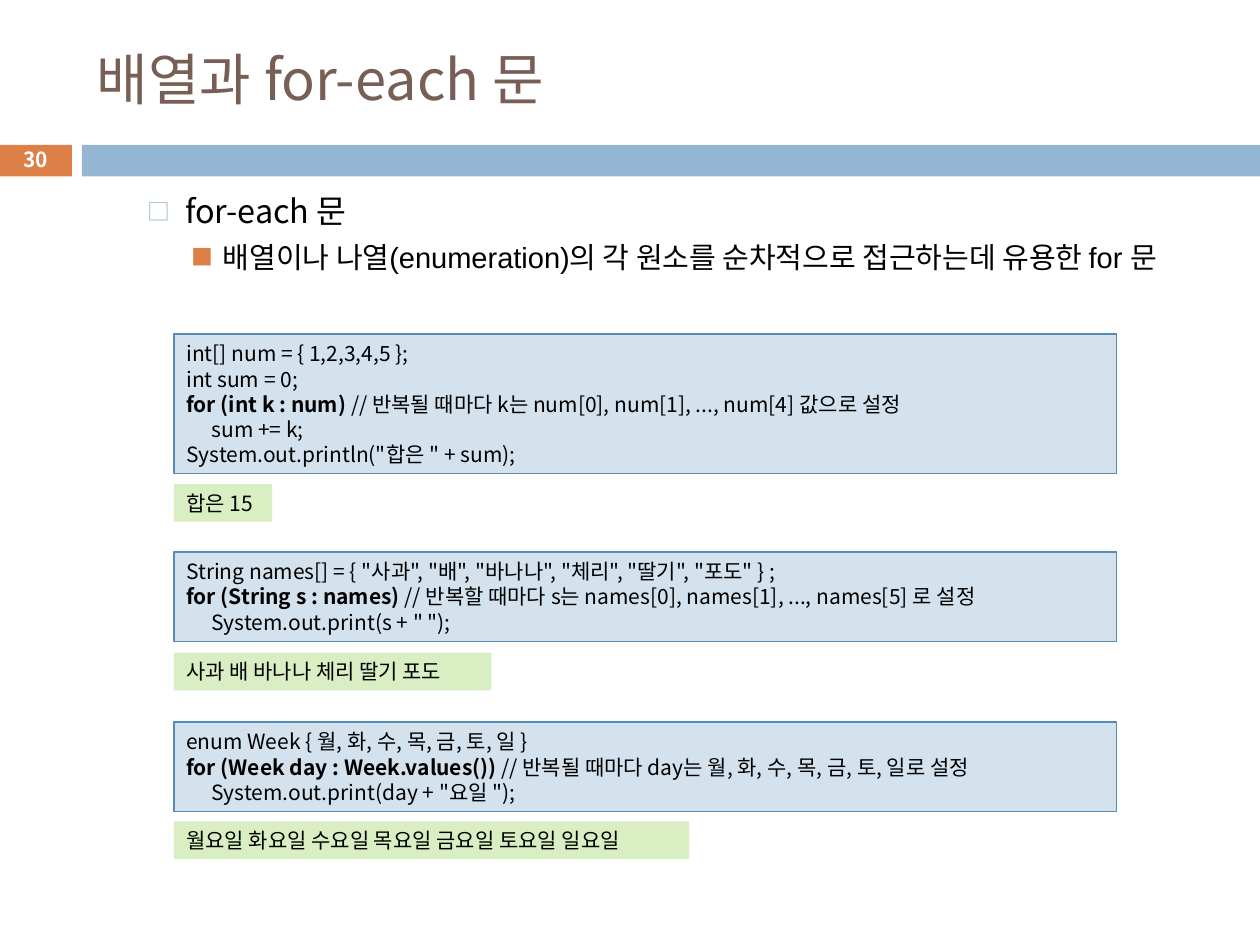
"""Builds the slide on arrays and the for-each statement."""
from lxml.etree import SubElement
from pptx import Presentation
from pptx.dml.color import RGBColor
from pptx.enum.shapes import MSO_SHAPE as SHAPE
from pptx.enum.text import MSO_ANCHOR as ANCHOR, MSO_AUTO_SIZE as AUTO, PP_ALIGN as ALIGN
from pptx.oxml.ns import qn
from pptx.util import Inches, Pt

COLORS = {
    "title": "775F55", "accent": "DD8047", "bar": "94B6D2", "text": "000000",
    "code": "D4E2ED", "code_line": "558BB8", "output": "DAEEC4", "white": "FFFFFF",
}
KOREAN = "Noto Sans CJK KR"


def add_box(left, top, width, height, fill, line=None):
    box = slide.shapes.add_shape(
        SHAPE.RECTANGLE, Inches(left), Inches(top), Inches(width), Inches(height))
    box.shadow.inherit = False
    box.fill.solid()
    box.fill.fore_color.rgb = RGBColor.from_string(COLORS[fill])
    if line:
        box.line.color.rgb = RGBColor.from_string(COLORS[line])
        box.line.width = Pt(0.75)
    else:
        box.line.fill.background()
    return box


def style(paragraph, size, color="text", latin=KOREAN, align=ALIGN.LEFT):
    paragraph.alignment = align
    paragraph.font.size = Pt(size)
    paragraph.font.color.rgb = RGBColor.from_string(COLORS[color])
    paragraph.font.name = latin
    defaults = paragraph._p.get_or_add_pPr().find(qn("a:defRPr"))
    SubElement(defaults, qn("a:ea"), typeface=KOREAN)


prs = Presentation()
prs.slide_width, prs.slide_height = Inches(10), Inches(7.5)
slide = prs.slides.add_slide(prs.slide_layouts[6])

add_box(-0.01, 1.15, 0.58, 0.25, "accent")
add_box(0.65, 1.15, 9.35, 0.25, "bar")

headings = [
    ("배열과 for-each 문", (0.67, 0.25, 8.92, 0.74), 32, "title", ALIGN.LEFT),
    ("30", (-0.01, 1.13, 0.58, 0.27), 11.9, "white", ALIGN.CENTER),
]
for words, place, size, color, align in headings:
    heading = slide.shapes.add_textbox(*map(Inches, place)).text_frame
    heading.word_wrap = True
    heading.vertical_anchor = ANCHOR.MIDDLE
    heading.text = words
    style(heading.paragraphs[0], size, color, align=align)
    heading.paragraphs[0].font.bold = color == "white"

summary = slide.shapes.add_textbox(
    Inches(0.67), Inches(1.47), Inches(8.92), Inches(1.02)).text_frame
summary.word_wrap = True
points = [
    ("for-each 문", 18.5, KOREAN, 0.7, 0.3, "□", "bar", 70),
    ("배열이나 나열(enumeration)의 각 원소를 순차적으로 접근하는데 유용한 for 문",
     16.6, "Arial", 1, 0.25, "■", "accent", 75),
]
for level, (words, size, latin, margin, hang, mark, color, percent) in enumerate(points):
    point = summary.add_paragraph() if level else summary.paragraphs[0]
    point.text = words
    point.level = level
    if level:
        point.space_before = Pt(5)
    props = point._p.get_or_add_pPr()
    props.set("marL", str(Inches(margin)))
    props.set("indent", str(-Inches(hang)))
    SubElement(SubElement(props, qn("a:buClr")), qn("a:srgbClr"), val=COLORS[color])
    SubElement(props, qn("a:buSzPct"), val=str(percent * 1000))
    SubElement(props, qn("a:buFont"), typeface=KOREAN)
    SubElement(props, qn("a:buChar"), char=mark)
    style(point, size, latin=latin)

examples = [
    (2.65, 1.11, [
        ("", "int[] num = { 1,2,3,4,5 };"),
        ("", "int sum = 0;"),
        ("for (int k : num) ", "// 반복될 때마다 k는 num[0], num[1], ..., num[4] 값으로 설정"),
        ("", "\tsum += k;"),
        ("", 'System.out.println("합은 " + sum);'),
    ], 3.84, 0.78, "합은 15"),
    (4.38, 0.71, [
        ("", 'String names[] = { "사과", "배", "바나나", "체리", "딸기", "포도" } ;'),
        ("for (String s : names) ",
         "// 반복할 때마다 s는 names[0], names[1], ..., names[5] 로 설정"),
        ("", '\tSystem.out.print(s + " ");'),
    ], 5.18, 2.52, "사과 배 바나나 체리 딸기 포도"),
    (5.73, 0.71, [
        ("", "enum Week { 월, 화, 수, 목, 금, 토, 일 }"),
        ("for (Week day : Week.values()) ",
         "// 반복될 때마다 day는 월, 화, 수, 목, 금, 토, 일로 설정"),
        ("", '\tSystem.out.print(day + "요일 ");'),
    ], 6.52, 4.09, "월요일 화요일 수요일 목요일 금요일 토요일 일요일"),
]
for code_top, code_height, lines, output_top, output_width, result in examples:
    code = add_box(1.38, code_top, 7.48, code_height, "code", "code_line").text_frame
    code.word_wrap = True
    code.auto_size = AUTO.SHAPE_TO_FIT_TEXT
    for row, (loop, rest) in enumerate(lines):
        line = code.add_paragraph() if row else code.paragraphs[0]
        tabs = SubElement(line._p.get_or_add_pPr(), qn("a:tabLst"))
        SubElement(tabs, qn("a:tab"), pos=str(Inches(0.2)), algn="l")
        if loop:
            keyword = line.add_run()
            keyword.text = loop
            keyword.font.bold = True
        line.add_run().text = rest
        style(line, 12)

    output = add_box(1.38, output_top, output_width, 0.3, "output").text_frame
    output.word_wrap = False
    output.auto_size = AUTO.SHAPE_TO_FIT_TEXT
    output.text = result
    style(output.paragraphs[0], 12)

prs.save("out.pptx")
